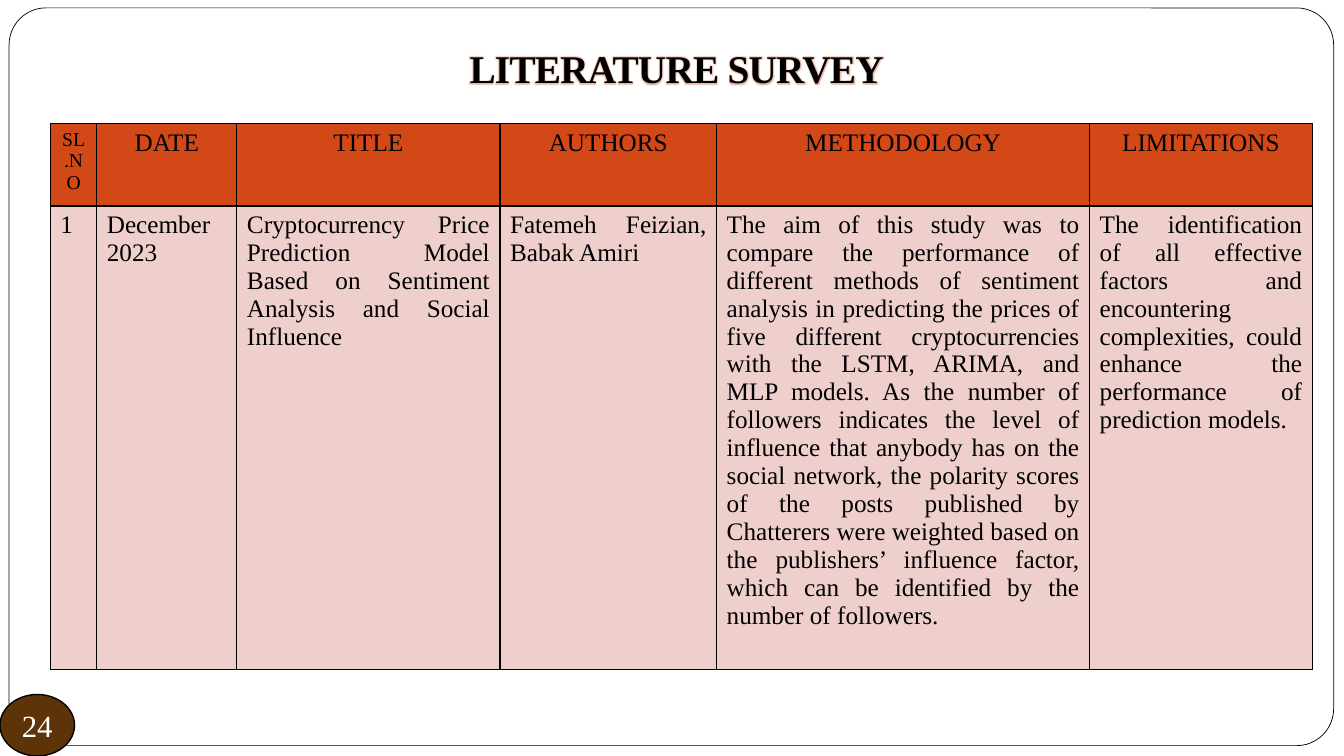
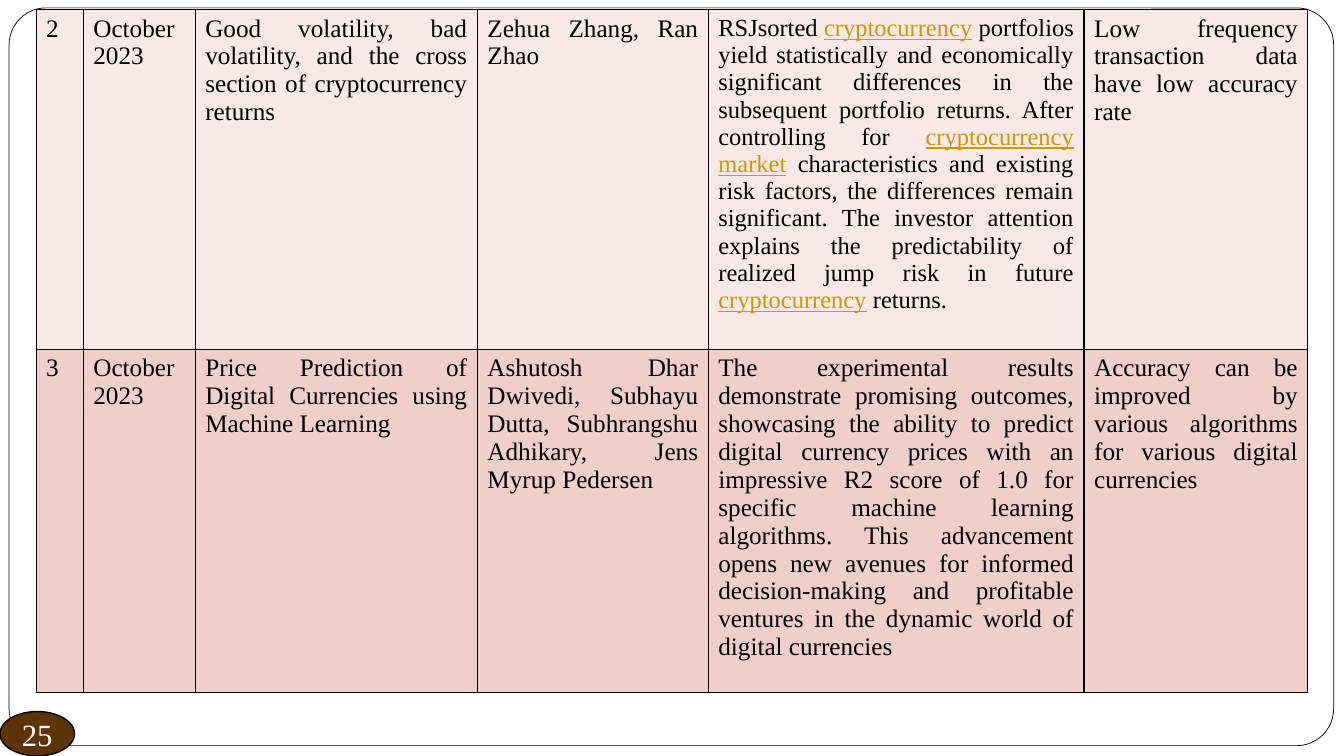
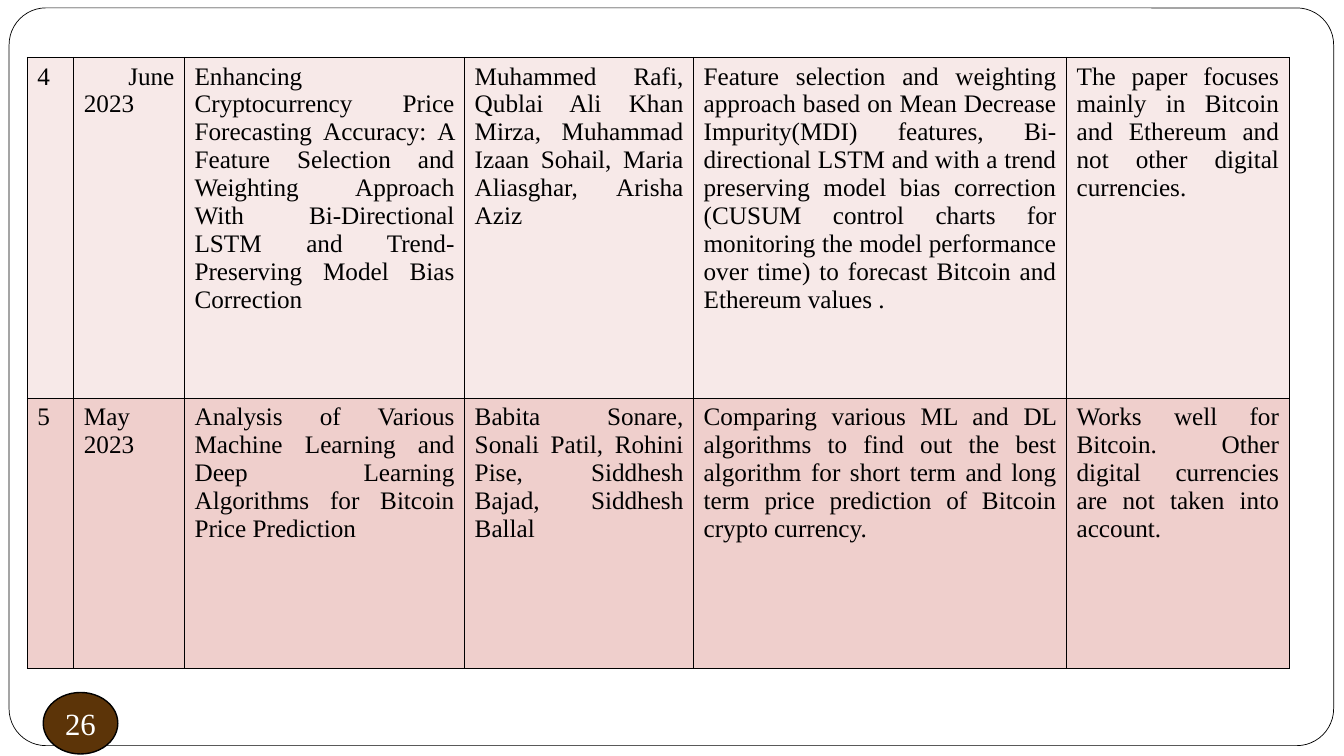
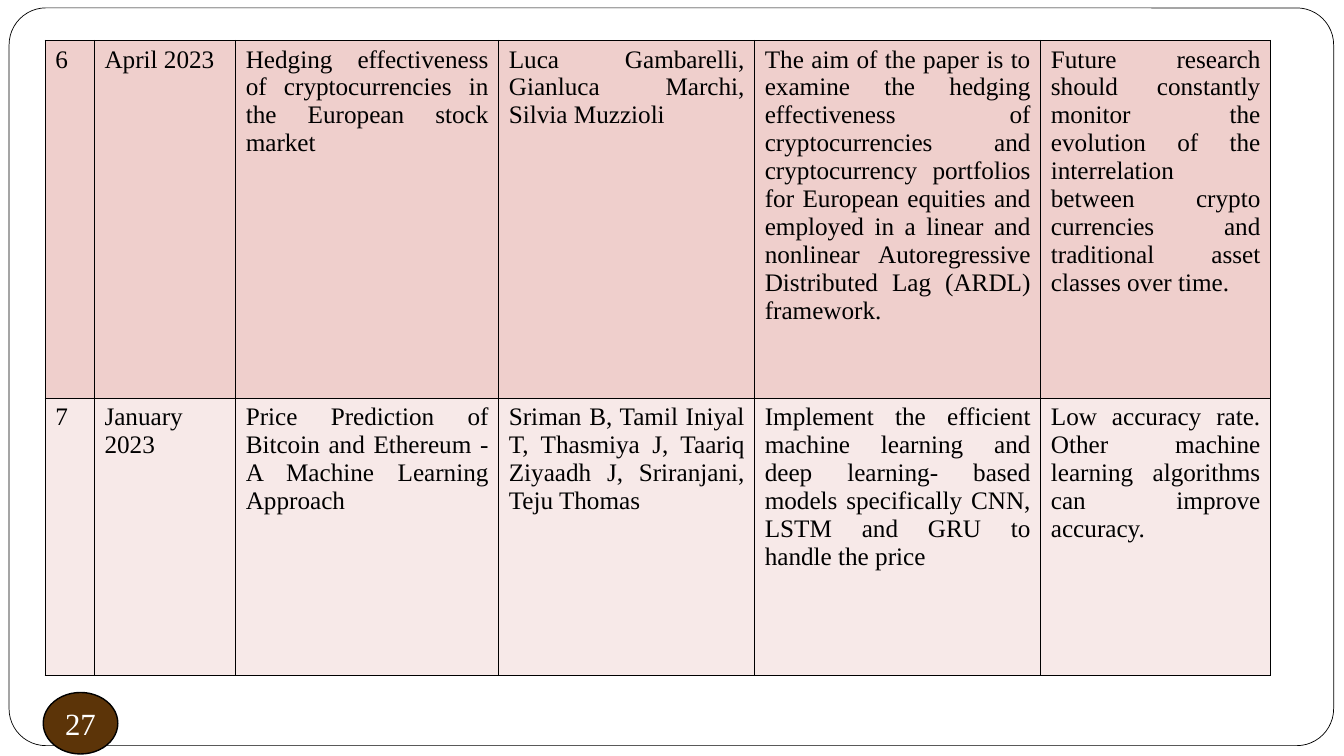
from dataclasses import dataclass

from lxml.etree import SubElement
from pptx import Presentation
from pptx.dml.color import RGBColor
from pptx.enum.shapes import MSO_SHAPE
from pptx.enum.text import MSO_ANCHOR, PP_ALIGN
from pptx.oxml import parse_xml
from pptx.oxml.ns import nsdecls, qn
from pptx.util import Cm, Pt

FONT = "Times New Roman"
BLACK = RGBColor(0x00, 0x00, 0x00)
WHITE = RGBColor(0xFF, 0xFF, 0xFF)
ORANGE = RGBColor(0xD3, 0x48, 0x17)
ROSE = RGBColor(0xEF, 0xCF, 0xCC)
PALE_ROSE = RGBColor(0xF7, 0xE9, 0xE8)
BROWN = RGBColor(0x5C, 0x34, 0x08)
GOLD = RGBColor(0xCC, 0x99, 0x00)

PLAIN = {"size": 17.5}
LINKED = {"size": 17.5, "color": GOLD, "underline": True}


@dataclass
class Row:
    height: float
    fill: RGBColor
    cells: list
    align: PP_ALIGN = PP_ALIGN.JUSTIFY


@dataclass
class SurveyPage:
    number: int
    badge: tuple
    corner: tuple
    widths: list
    rows: list
    title: str = ""


SURVEY = [
    SurveyPage(
        24, (0, 17.5, 1.88, 1.55), (1.27, 3.12),
        [1.17, 3.53, 6.63, 5.46, 9.4, 5.61],
        [
            Row(2.07, ORANGE, [
                [("SL.NO", {"size": 14})],
                "DATE", "TITLE", "AUTHORS", "METHODOLOGY", "LIMITATIONS",
            ], PP_ALIGN.CENTER),
            Row(11.68, ROSE, [
                "1",
                "December 2023",
                "Cryptocurrency Price Prediction Model Based on Sentiment Analysis "
                "and Social Influence",
                "Fatemeh Feizian, Babak Amiri",
                "The aim of this study was to compare the performance of different "
                "methods of sentiment analysis in predicting the prices of five "
                "different cryptocurrencies with the LSTM, ARIMA, and MLP models. As "
                "the number of followers indicates the level of influence that anybody "
                "has on the social network, the polarity scores of the posts published "
                "by Chatterers were weighted based on the publishers’ influence "
                "factor, which can be identified by the number of followers.",
                "The identification of all effective factors and encountering "
                "complexities, could enhance the performance of prediction models.",
            ]),
        ],
        title="LITERATURE SURVEY",
    ),
    SurveyPage(
        25, (0, 17.93, 1.88, 1.12), (0.91, 0.24),
        [1.19, 2.82, 7.11, 5.82, 9.47, 5.64],
        [
            Row(8.56, PALE_ROSE, [
                "2",
                "October 2023",
                "Good volatility, bad volatility, and the cross section of "
                "cryptocurrency returns",
                "Zehua Zhang, Ran Zhao",
                [
                    ("RSJsorted ", PLAIN),
                    ("cryptocurrency", LINKED),
                    (" portfolios yield statistically and economically significant "
                     "differences in the subsequent portfolio returns. After "
                     "controlling for ", PLAIN),
                    ("cryptocurrency market", LINKED),
                    (" characteristics and existing risk factors, the differences "
                     "remain significant. The investor attention explains the "
                     "predictability of realized jump risk in future ", PLAIN),
                    ("cryptocurrency", LINKED),
                    (" returns.", PLAIN),
                ],
                "Low frequency transaction data have low accuracy rate",
            ]),
            Row(8.64, ROSE, [
                "3",
                "October 2023",
                "Price Prediction of Digital Currencies using Machine Learning",
                "Ashutosh Dhar Dwivedi, Subhayu Dutta, Subhrangshu Adhikary, Jens "
                "Myrup Pedersen",
                "The experimental results demonstrate promising outcomes, showcasing "
                "the ability to predict digital currency prices with an impressive R2 "
                "score of 1.0 for specific machine learning algorithms. This "
                "advancement opens new avenues for informed decision-making and "
                "profitable ventures in the dynamic world of digital currencies",
                "Accuracy can be improved by various algorithms for various digital "
                "currencies",
            ]),
        ],
    ),
    SurveyPage(
        26, (1.09, 17.45, 1.88, 1.55), (0.69, 1.45),
        [1.17, 2.79, 7.06, 5.77, 9.4, 5.61],
        [
            Row(8.59, PALE_ROSE, [
                "4",
                " June 2023",
                "Enhancing Cryptocurrency Price Forecasting Accuracy: A Feature "
                "Selection and Weighting Approach With Bi-Directional LSTM and "
                "Trend-Preserving Model Bias Correction",
                "Muhammed Rafi, Qublai Ali Khan Mirza, Muhammad Izaan Sohail, Maria "
                "Aliasghar, Arisha Aziz",
                "Feature selection and weighting approach based on Mean Decrease "
                "Impurity(MDI) features, Bi-directional LSTM and with a trend "
                "preserving model bias correction (CUSUM control charts for monitoring "
                "the model performance over time) to forecast Bitcoin and Ethereum "
                "values .",
                "The paper focuses mainly in Bitcoin and Ethereum and not other "
                "digital currencies.",
            ]),
            Row(6.81, ROSE, [
                "5",
                "May 2023",
                "Analysis of Various Machine Learning and Deep Learning Algorithms for "
                "Bitcoin Price Prediction",
                "Babita Sonare, Sonali Patil, Rohini Pise, Siddhesh Bajad, Siddhesh "
                "Ballal",
                "Comparing various ML and DL algorithms to find out the best algorithm "
                "for short term and long term price prediction of Bitcoin crypto "
                "currency.",
                "Works well for Bitcoin. Other digital currencies are not taken into "
                "account.",
            ]),
        ],
    ),
    SurveyPage(
        27, (1.09, 17.45, 1.88, 1.55), (1.14, 1.02),
        [1.24, 3.56, 6.63, 6.45, 7.21, 5.79],
        [
            Row(9.02, ROSE, [
                "6",
                "April 2023",
                "Hedging effectiveness of cryptocurrencies in the European stock "
                "market",
                "Luca Gambarelli, Gianluca Marchi, Silvia Muzzioli",
                "The aim of the paper is to examine the hedging effectiveness of "
                "cryptocurrencies and cryptocurrency portfolios for European equities "
                "and employed in a linear and nonlinear Autoregressive Distributed Lag "
                "(ARDL) framework.",
                "Future research should constantly monitor the evolution of the "
                "interrelation between crypto currencies and traditional asset classes "
                "over time.",
            ]),
            Row(6.99, PALE_ROSE, [
                "7",
                "January 2023",
                "Price Prediction of Bitcoin and Ethereum - A Machine Learning "
                "Approach",
                "Sriman B, Tamil Iniyal T, Thasmiya J, Taariq Ziyaadh J, Sriranjani, "
                "Teju Thomas",
                "Implement the efficient machine learning and deep learning- based "
                "models specifically CNN, LSTM and GRU to handle the price",
                "Low accuracy rate. Other machine learning algorithms can improve "
                "accuracy.",
            ]),
        ],
    ),
]


def add_text(para, text, size=18, color=BLACK, bold=False, underline=False):
    span = para.add_run()
    span.text = text
    span.font.name = FONT
    span.font.size = Pt(size)
    span.font.bold = bold
    span.font.underline = underline
    span.font.color.rgb = color
    return span


def add_panel(page, kind, place, fill, line_width):
    panel = page.shapes.add_shape(kind, *map(Cm, place))
    panel.shadow.inherit = False
    panel.fill.solid()
    panel.fill.fore_color.rgb = fill
    panel.line.color.rgb = BLACK
    panel.line.width = Pt(line_width)
    return panel


def add_frame(page):
    frame = add_panel(page, MSO_SHAPE.ROUNDED_RECTANGLE,
                      (0.23, 0.2, 33.38, 18.59), WHITE, 0.5)
    frame.adjustments[0] = 0.05


def add_title(page, text):
    box = page.shapes.add_textbox(Cm(1.2), Cm(0.99), Cm(31.7), Cm(1.45))
    box.text_frame.word_wrap = True
    para = box.text_frame.paragraphs[0]
    para.alignment = PP_ALIGN.CENTER
    span = add_text(para, text, size=28, bold=True)
    properties = span.font._element
    properties.set("spc", "-50")
    glow = parse_xml(
        f'<a:effectLst {nsdecls("a")}><a:glow rad="38100"><a:srgbClr val="{ORANGE}">'
        '<a:alpha val="40000"/></a:srgbClr></a:glow></a:effectLst>')
    properties.find(qn("a:solidFill")).addnext(glow)


def add_badge(page, number, place):
    badge = add_panel(page, MSO_SHAPE.OVAL, place, BROWN, 1)
    frame = badge.text_frame
    frame.margin_left = frame.margin_right = 0
    frame.vertical_anchor = MSO_ANCHOR.MIDDLE
    para = frame.paragraphs[0]
    para.alignment = PP_ALIGN.CENTER
    add_text(para, str(number), size=22, color=WHITE)


def add_borders(cell):
    properties = cell._tc.get_or_add_tcPr()
    for side in ("lnL", "lnR", "lnT", "lnB"):
        line = SubElement(properties, qn(f"a:{side}"), w=str(Pt(1)))
        fill = SubElement(line, qn("a:solidFill"))
        SubElement(fill, qn("a:srgbClr"), val=str(BLACK))


def fill_cell(cell, content, fill, align):
    add_borders(cell)
    cell.fill.solid()
    cell.fill.fore_color.rgb = fill
    para = cell.text_frame.paragraphs[0]
    para.alignment = align
    spans = [(content, {})] if isinstance(content, str) else content
    for text, style in spans:
        add_text(para, text, **style)


def add_survey_table(page, corner, widths, rows):
    size = sum(widths), sum(row.height for row in rows)
    table = page.shapes.add_table(
        len(rows), len(widths), *map(Cm, corner + size)).table
    table.first_row = False
    table.horz_banding = False
    for column, width in zip(table.columns, widths):
        column.width = Cm(width)
    for table_row, row in zip(table.rows, rows):
        table_row.height = Cm(row.height)
        for cell, content in zip(table_row.cells, row.cells):
            fill_cell(cell, content, row.fill, row.align)


def main():
    deck = Presentation()
    deck.slide_width = Cm(33.87)
    deck.slide_height = Cm(19.05)
    for survey in SURVEY:
        page = deck.slides.add_slide(deck.slide_layouts[6])
        add_frame(page)
        if survey.title:
            add_title(page, survey.title)
        add_survey_table(page, survey.corner, survey.widths, survey.rows)
        add_badge(page, survey.number, survey.badge)
    deck.save("out.pptx")


if __name__ == "__main__":
    main()
